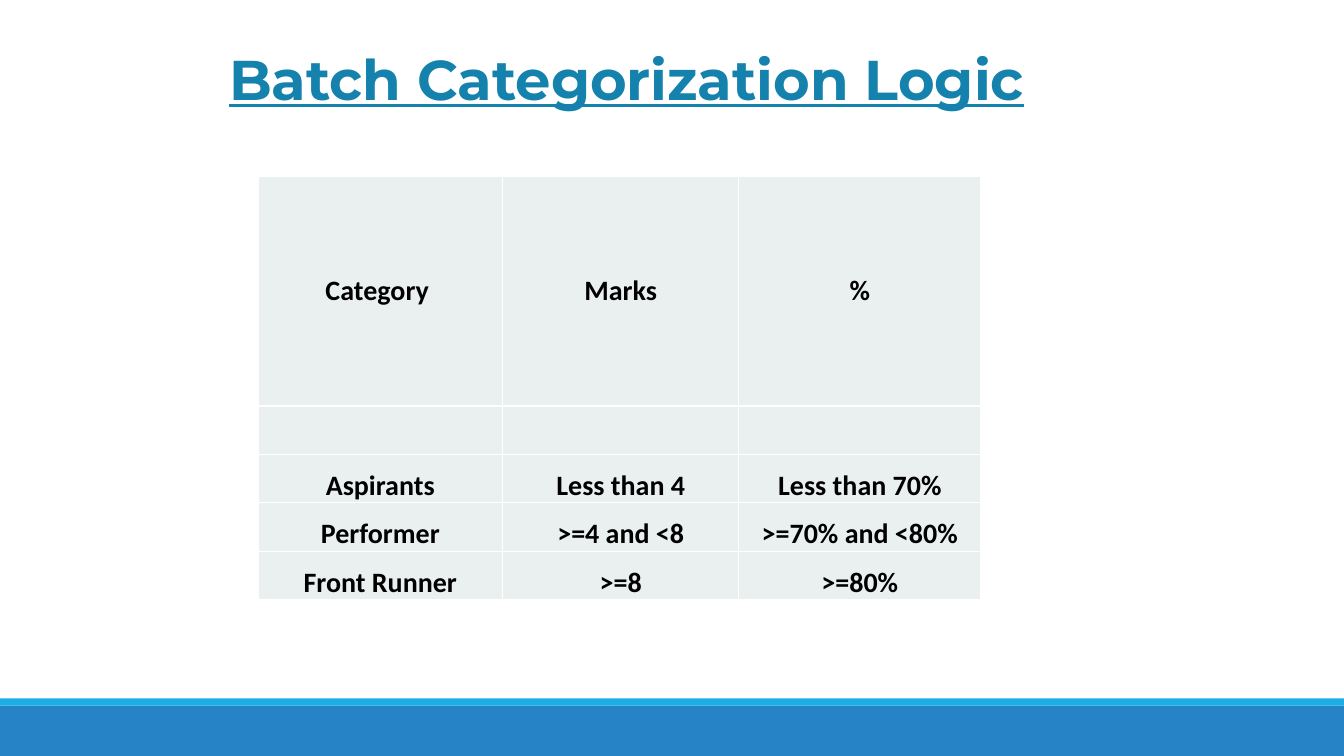
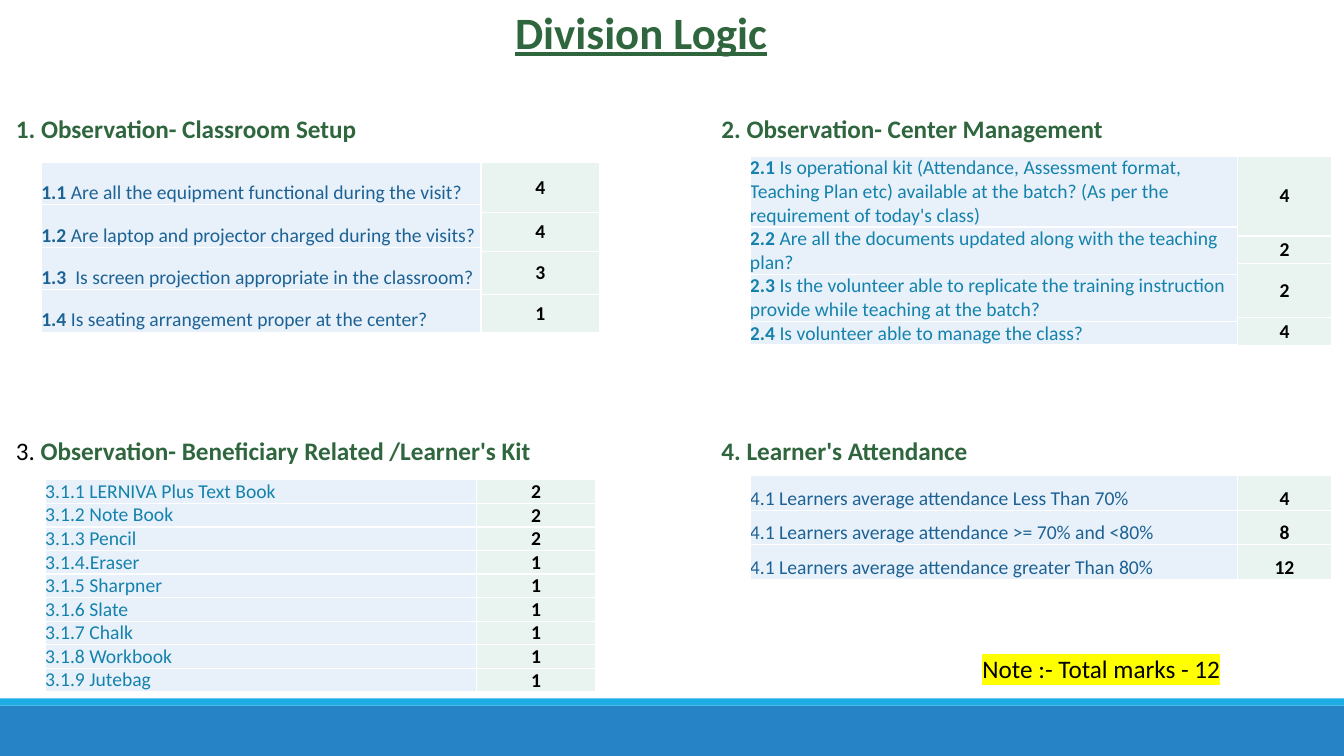
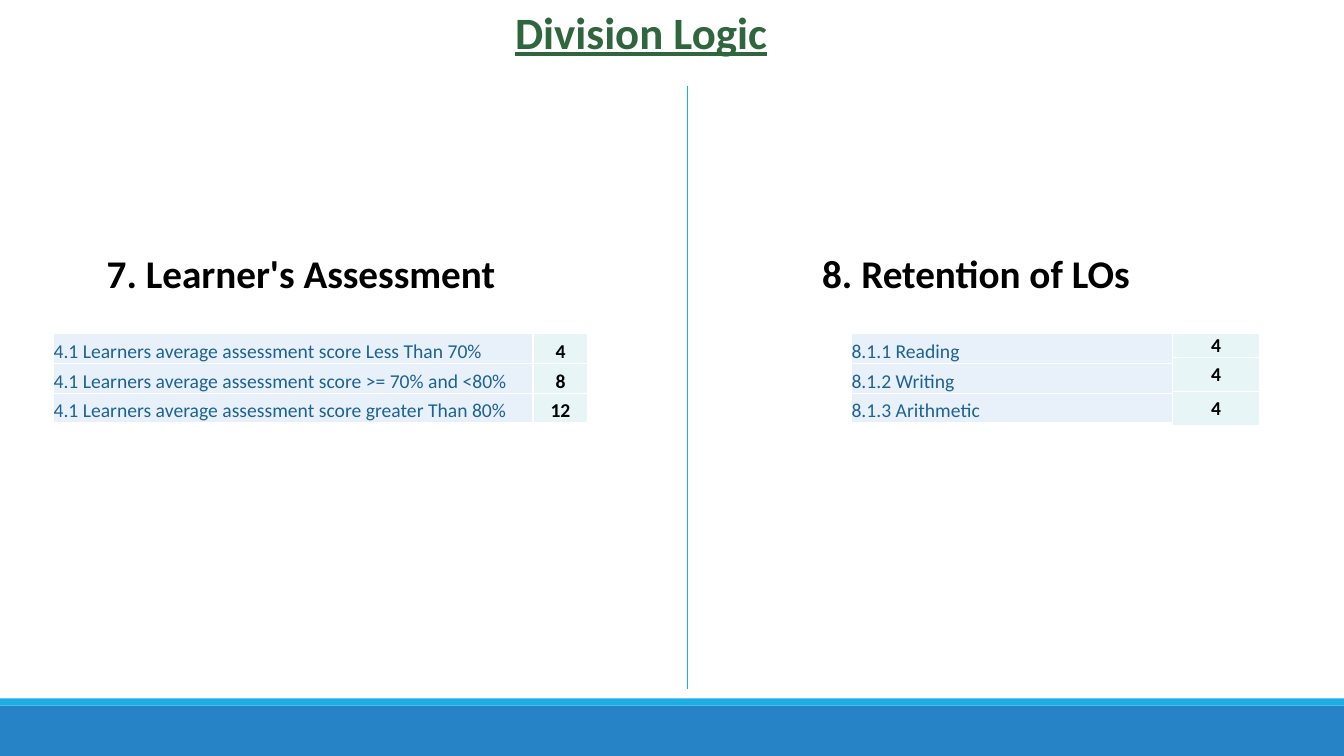
from dataclasses import dataclass, replace
from typing import Any, NamedTuple

from lxml.etree import SubElement
from pptx import Presentation
from pptx.dml.color import RGBColor as Rgb
from pptx.enum.shapes import MSO_CONNECTOR as Link, MSO_SHAPE as Form
from pptx.enum.text import (
    MSO_ANCHOR as Anchor,
    MSO_AUTO_SIZE as Fit,
    PP_ALIGN as Align,
)
from pptx.oxml.ns import qn
from pptx.util import Cm, Pt

# Colours
BLUE, SKY, TEAL, NAVY = "2683C6", "1CADE4", "1482AC", "1D6294"
GREEN, BLACK, YELLOW = "2F663E", "000000", "FFFF00"
GREY, PALE, MINT, AQUA = "EAF0F0", "E8F1FA", "E9F3EF", "E8F5F6"

# Font formats
BASE = {"name": "Calibri", "size": Pt(14), "color": BLACK}
BOLD = BASE | {"bold": True}
HEAD = BOLD | {"size": Pt(18), "color": GREEN}
TITLE = HEAD | {"size": Pt(32), "underline": True}
COVER = TITLE | {"name": "Montserrat", "size": Pt(40), "color": TEAL}
TOPIC = BOLD | {"size": Pt(28)}
NOTE = BASE | {"size": Pt(18)}


class Box(NamedTuple):
    left: float
    top: float
    width: float
    height: float


class Run(NamedTuple):
    text: str
    form: dict[str, Any]


class Label(NamedTuple):
    box: Box
    runs: list[Run]
    align: Align = Align.LEFT


@dataclass(frozen=True)
class Look:
    fill: str
    form: dict[str, Any]
    align: Align = Align.LEFT
    anchor: Anchor = Anchor.BOTTOM
    top: Anchor = Anchor.BOTTOM  # anchor of the first row
    lead: bool = False  # first word in bold


@dataclass(frozen=True)
class Grid:
    left: float
    top: float
    cols: list[float]
    rows: list[float]
    cells: list[list[str]]
    look: Look


# Table looks
RULES = Look(GREY, BOLD | {"size": Pt(20)}, Align.CENTER, top=Anchor.MIDDLE)
ASK = Look(PALE, BASE | {"color": NAVY})
ASK_TEAL = replace(ASK, form=BASE | {"color": TEAL})
LOW = Look(MINT, BOLD, Align.CENTER)
MID = replace(LOW, anchor=Anchor.MIDDLE, top=Anchor.MIDDLE)

TITLE_BOX = Box(12.73, 0, 7.75, 1.63)
BANDS = [(Box(0, 17.78, 33.87, 1.27), BLUE), (Box(0, 17.6, 33.87, 0.18), SKY)]


def paint(code: str) -> Rgb:
    return Rgb.from_string(code)


def write(para: Any, runs: list[Run], align: Align) -> None:
    para.alignment = align
    for text, form in runs:
        run = para.add_run()
        run.text = text
        for key, value in form.items():
            if key == "color":
                run.font.color.rgb = paint(value)
            else:
                setattr(run.font, key, value)


def add_label(slide: Any, label: Label) -> Any:
    shape = slide.shapes.add_textbox(*map(Cm, label.box))
    frame = shape.text_frame
    frame.word_wrap = True
    frame.auto_size = Fit.SHAPE_TO_FIT_TEXT
    write(frame.paragraphs[0], label.runs, label.align)
    return shape


def mark(shape: Any, code: str) -> None:
    """Put a highlight behind the first run."""
    fill = shape.element.find(".//" + qn("a:solidFill"))
    light = SubElement(fill.getparent(), qn("a:highlight"))
    SubElement(light, qn("a:srgbClr"), val=code)
    fill.addnext(light)


def split(text: str, look: Look) -> list[Run]:
    if not look.lead:
        return [Run(text, look.form)]
    head, gap, rest = text.partition(" ")
    return [Run(head, look.form | {"bold": True}), Run(gap + rest, look.form)]


def add_grid(slide: Any, grid: Grid) -> None:
    look = grid.look
    size = sum(grid.cols), sum(grid.rows)
    frame = slide.shapes.add_table(
        len(grid.rows), len(grid.cols), *map(Cm, (grid.left, grid.top, *size))
    )
    table = frame.table
    table.first_row = table.horz_banding = False
    for col, width in zip(table.columns, grid.cols):
        col.width = Cm(width)
    for i, (height, texts) in enumerate(zip(grid.rows, grid.cells)):
        table.rows[i].height = Cm(height)
        for j, text in enumerate(texts):
            cell = table.cell(i, j)
            for side in ("left", "right", "top", "bottom"):
                setattr(cell, f"margin_{side}", 0)
            cell.vertical_anchor = look.anchor if i else look.top
            cell.fill.solid()
            cell.fill.fore_color.rgb = paint(look.fill)
            if text:
                write(cell.text_frame.paragraphs[0], split(text, look), look.align)


def column(left: float, top: float, width: float, rows: list[float],
           texts: list[str], look: Look) -> Grid:
    return Grid(left, top, [width], rows, [[text] for text in texts], look)


def add_bands(slide: Any) -> None:
    """Draw the footer bands and move them to the layout all slides share."""
    layout = slide.slide_layout
    for holder in list(layout.placeholders):
        holder.element.getparent().remove(holder.element)
    for box, code in BANDS:
        band = slide.shapes.add_shape(Form.RECTANGLE, *map(Cm, box))
        band.shadow.inherit = False
        band.fill.solid()
        band.fill.fore_color.rgb = paint(code)
        band.line.fill.background()
        layout.shapes.element.append(band.element)


def add_line(slide: Any, x: float, top: float, end: float) -> None:
    line = slide.shapes.add_connector(Link.STRAIGHT, *map(Cm, (x, top, x, end)))
    line.line.color.rgb = paint(SKY)
    line.line.width = Pt(1)
    SubElement(line.element.spPr, qn("a:effectLst"))


def batch(slide: Any) -> None:
    add_grid(slide, Grid(6.5, 4.44, [6.17, 5.95, 6.1], [5.79] + [1.22] * 4, [
        ["Category ", "Marks", "%"],
        ["", "", ""],
        ["Aspirants", "Less than 4", "Less than 70%"],
        ["Performer", ">=4 and <8", ">=70% and <80%"],
        ["Front Runner", ">=8", ">=80%"],
    ], RULES))
    add_label(slide, Label(Box(4.78, 0.99, 22.02, 1.96),
                           [Run("Batch Categorization Logic", COVER)], Align.CENTER))


def division(slide: Any, labels: list[Label], grids: list[Grid]) -> None:
    add_label(slide, Label(TITLE_BOX, [Run("Division Logic", TITLE)]))
    for label in labels:
        add_label(slide, label)
    for grid in grids:
        add_grid(slide, grid)


def visits(slide: Any) -> None:
    left, right, upper, lower, tall = 0.15, 17.93, 2.72, 10.85, 1.02
    labels = [
        Label(Box(left, upper, 13.21, tall),
              [Run("1. Observation- Classroom Setup", HEAD)]),
        Label(Box(right, upper, 10.82, tall),
              [Run("2. Observation- Center Management", HEAD)]),
        Label(Box(left, lower, 13.87, tall),
              [Run("3. ", NOTE),
               Run("Observation- Beneficiary Related /Learner's Kit", HEAD)]),
        Label(Box(right, lower, 9.04, tall),
              [Run("4. Learner's Attendance", HEAD)]),
    ]
    grids = [
        # Classroom
        column(1.04, 4.09, 11.07, [1.07] * 4, [
            "1.1 Are all the equipment functional during the visit?",
            "1.2 Are laptop and projector charged during the visits?",
            "1.3  Is screen projection appropriate in the classroom?",
            "1.4 Is seating arrangement proper at the center?",
        ], replace(ASK, lead=True)),
        column(12.12, 4.09, 3, [1.27, 0.97, 1.09, 0.97], list("4431"), MID),
        # Center
        column(18.9, 3.94, 12.73, [1.78, 1.19, 1.19, 0.59], [
            "2.1 Is operational kit (Attendance, Assessment format, Teaching Plan "
            "etc) available at the batch? (As per the requirement of today's class)",
            "2.2 Are all the documents updated along with the teaching plan?",
            "2.3 Is the volunteer able to replicate the training instruction "
            "provide while teaching at the batch?",
            "2.4 Is volunteer able to manage the class?",
        ], replace(ASK_TEAL, lead=True)),
        column(31.19, 3.94, 2.36, [2.01, 0.69, 1.37, 0.69], list("4224"), MID),
        # Kit
        column(1.14, 12.09, 10.87, [0.59] * 9, [
            "3.1.1 LERNIVA Plus Text Book",
            "3.1.2 Note Book",
            "3.1.3 Pencil",
            "3.1.4.Eraser",
            "3.1.5 Sharpner",
            "3.1.6 Slate",
            "3.1.7 Chalk",
            "3.1.8 Workbook",
            "3.1.9 Jutebag",
        ], ASK_TEAL),
        column(12.01, 12.09, 3, [0.59] * 9, list("222111111"), MID),
        # Attendance
        column(18.9, 11.99, 12.29, [0.87] * 3, [
            "4.1 Learners average attendance Less Than 70%",
            "4.1 Learners average attendance >= 70% and <80%",
            "4.1 Learners average attendance greater Than 80%",
        ], ASK),
        column(31.19, 11.99, 2.36, [0.87] * 3, ["4", "8", "12"], LOW),
    ]
    division(slide, labels, grids)
    total = Label(Box(24.51, 16.33, 6.68, tall),
                  [Run("Note :- Total marks - 12", NOTE)])
    mark(add_label(slide, total), YELLOW)


def scores(slide: Any) -> None:
    top, rows = 8.41, [0.75] * 3
    labels = [
        Label(Box(2.44, 6.15, 11.66, 1.45), [Run("7. Learner's Assessment", TOPIC)]),
        Label(Box(20.47, 6.15, 8.86, 1.45), [Run("8. Retention of LOs", TOPIC)]),
    ]
    grids = [
        # Assessment
        column(1.35, top, 12.07, rows, [
            "4.1 Learners average assessment score Less Than 70%",
            "4.1 Learners average assessment score >= 70% and <80%",
            "4.1 Learners average assessment score greater Than 80%",
        ], ASK),
        column(13.44, top, 1.37, rows, ["4", "8", "12"], replace(LOW, fill=AQUA)),
        # Retention
        column(21.46, top, 8.08, rows,
               ["8.1.1 Reading", "8.1.2 Writing", "8.1.3 Arithmetic"], ASK),
        column(29.54, top, 2.21, [0.59, 0.86, 0.86], list("444"),
               replace(MID, fill=AQUA)),
    ]
    division(slide, labels, grids)
    add_line(slide, 17.32, 2.16, 17.35)


def main() -> None:
    deck = Presentation()
    deck.slide_width, deck.slide_height = Cm(33.87), Cm(19.05)
    blank = deck.slide_layouts[6]
    for i, draw in enumerate((batch, visits, scores)):
        slide = deck.slides.add_slide(blank)
        if i == 0:
            add_bands(slide)
        draw(slide)
    deck.save("out.pptx")


if __name__ == "__main__":
    main()
